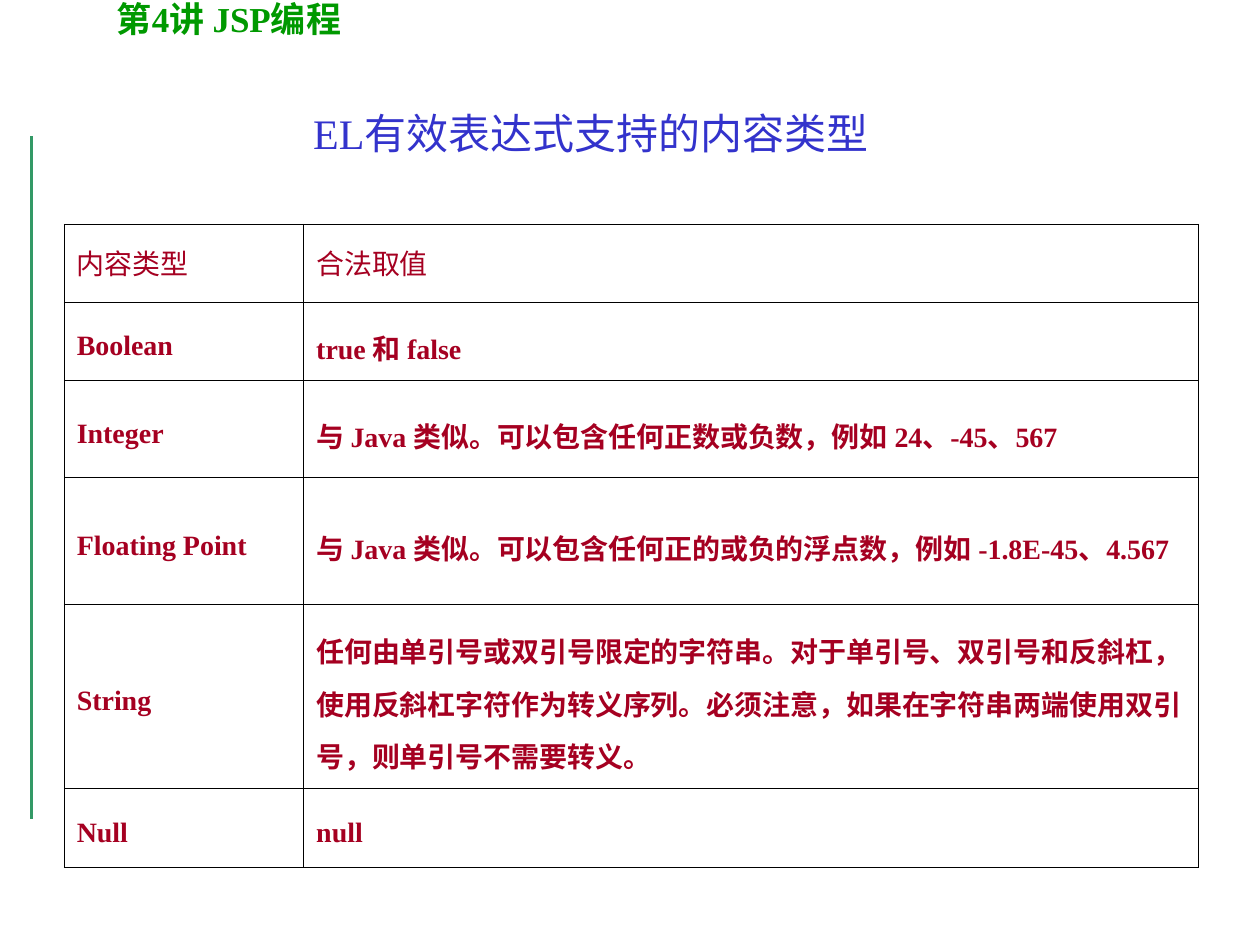
from lxml import etree
from pptx import Presentation
from pptx.dml.color import RGBColor
from pptx.enum.shapes import MSO_CONNECTOR
from pptx.enum.text import MSO_ANCHOR, PP_ALIGN
from pptx.oxml import parse_xml
from pptx.oxml.ns import nsdecls, qn
from pptx.util import Inches, Pt

STRAIGHT = MSO_CONNECTOR.STRAIGHT
TOP, MIDDLE = MSO_ANCHOR.TOP, MSO_ANCHOR.MIDDLE
LEFT, CENTER = PP_ALIGN.LEFT, PP_ALIGN.CENTER

GREEN = RGBColor(0x00, 0x99, 0x00)
RULE_GREEN = RGBColor(0x33, 0x99, 0x66)
BLUE = RGBColor(0x33, 0x33, 0xCC)
DARK_RED = RGBColor(0xA5, 0x00, 0x21)
BLACK = RGBColor(0x00, 0x00, 0x00)
FONT = "Times New Roman"

presentation = Presentation()
presentation.slide_width = Inches(10)
presentation.slide_height = Inches(7.5)
slide = presentation.slides.add_slide(presentation.slide_layouts[6])

# One percent of the slide's width and height
COLUMN = presentation.slide_width // 100
ROW = presentation.slide_height // 100


def box(left, top, width, height):
    """Turn percentages of the slide into lengths."""
    return [round(left * COLUMN), round(top * ROW), round(width * COLUMN), round(height * ROW)]


def write(text_frame, text, size, color, bold=False, spacing=1.0, alignment=LEFT):
    text_frame.word_wrap = True
    paragraph = text_frame.paragraphs[0]
    paragraph.text = text
    paragraph.alignment = alignment
    paragraph.line_spacing = spacing
    paragraph.font.name = FONT
    paragraph.font.size = Pt(size)
    paragraph.font.bold = bold
    paragraph.font.color.rgb = color


# Vertical rule at the left edge
left, top, _, height = box(2.5, 14.4, 0, 72.27)
rule = slide.shapes.add_connector(STRAIGHT, left, top, left, top + height)
rule.line.color.rgb = RULE_GREEN
rule.line.width = Pt(2.25)
etree.SubElement(rule._element.spPr, qn("a:effectLst"))

# Lecture name and slide title
lecture = slide.shapes.add_textbox(*box(8.3, -0.93, 20.4, 10.27))
write(lecture.text_frame, "第4讲 JSP编程", 20, GREEN, bold=True)
title = slide.shapes.add_textbox(*box(14.6, 12.13, 64.6, 6.27))
write(title.text_frame, "EL有效表达式支持的内容类型", 24, BLUE, spacing=0.7, alignment=CENTER)

# Table of content types: row height in percent, type, legal values
CONTENT_TYPES = [
    (8.27, "内容类型", "合法取值"),
    (8.27, "Boolean", "true 和 false"),
    (10.27, "Integer", "与 Java 类似。可以包含任何正数或负数，例如 24、-45、567"),
    (13.47, "Floating Point", "与 Java 类似。可以包含任何正的或负的浮点数，例如 -1.8E-45、4.567"),
    (19.47, "String",
     "任何由单引号或双引号限定的字符串。对于单引号、双引号和反斜杠，使用反斜杠字符作为转义序列。"
     "必须注意，如果在字符串两端使用双引号，则单引号不需要转义。"),
    (8.27, "Null", "null"),
]
COLUMN_WIDTHS = [19, 71]

table_height = sum(row[0] for row in CONTENT_TYPES)
table = slide.shapes.add_table(
    len(CONTENT_TYPES), len(COLUMN_WIDTHS), *box(5.1, 23.73, sum(COLUMN_WIDTHS), table_height)
).table
table.first_row = False
table.horz_banding = False
for column, width in zip(table.columns, COLUMN_WIDTHS):
    column.width = width * COLUMN

for row_index, (row_height, *texts) in enumerate(CONTENT_TYPES):
    is_header = row_index == 0
    table.rows[row_index].height = round(row_height * ROW)
    for column_index, text in enumerate(texts):
        cell = table.cell(row_index, column_index)
        cell.vertical_anchor = TOP if is_header else MIDDLE
        write(cell.text_frame, text, 16, DARK_RED, bold=not is_header, spacing=1.3)
        # Thin borders come before the fill in the cell properties
        properties = cell._tc.get_or_add_tcPr()
        for side in ("lnL", "lnR", "lnT", "lnB"):
            properties.append(parse_xml(
                f'<a:{side} {nsdecls("a")} w="{Pt(0.45)}"><a:solidFill>'
                f'<a:srgbClr val="{BLACK}"/></a:solidFill></a:{side}>'
            ))
        cell.fill.background()

presentation.save("out.pptx")
